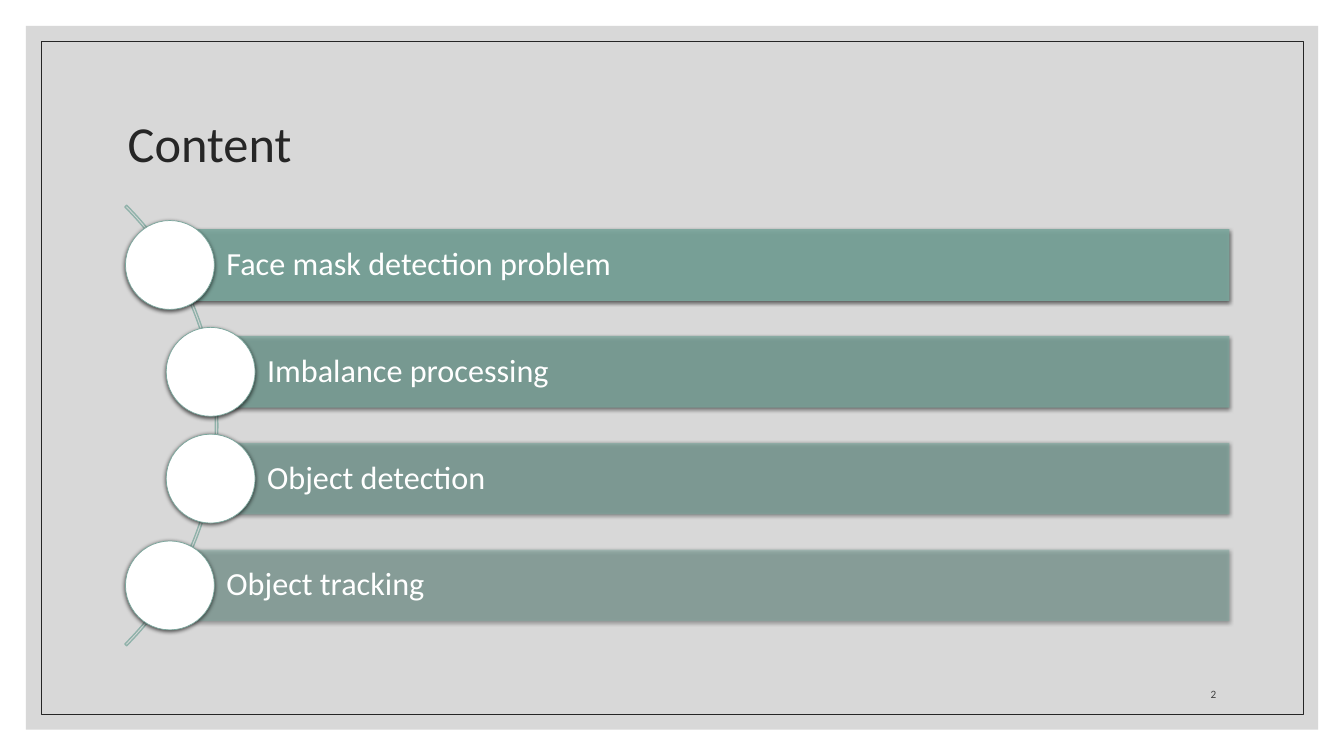
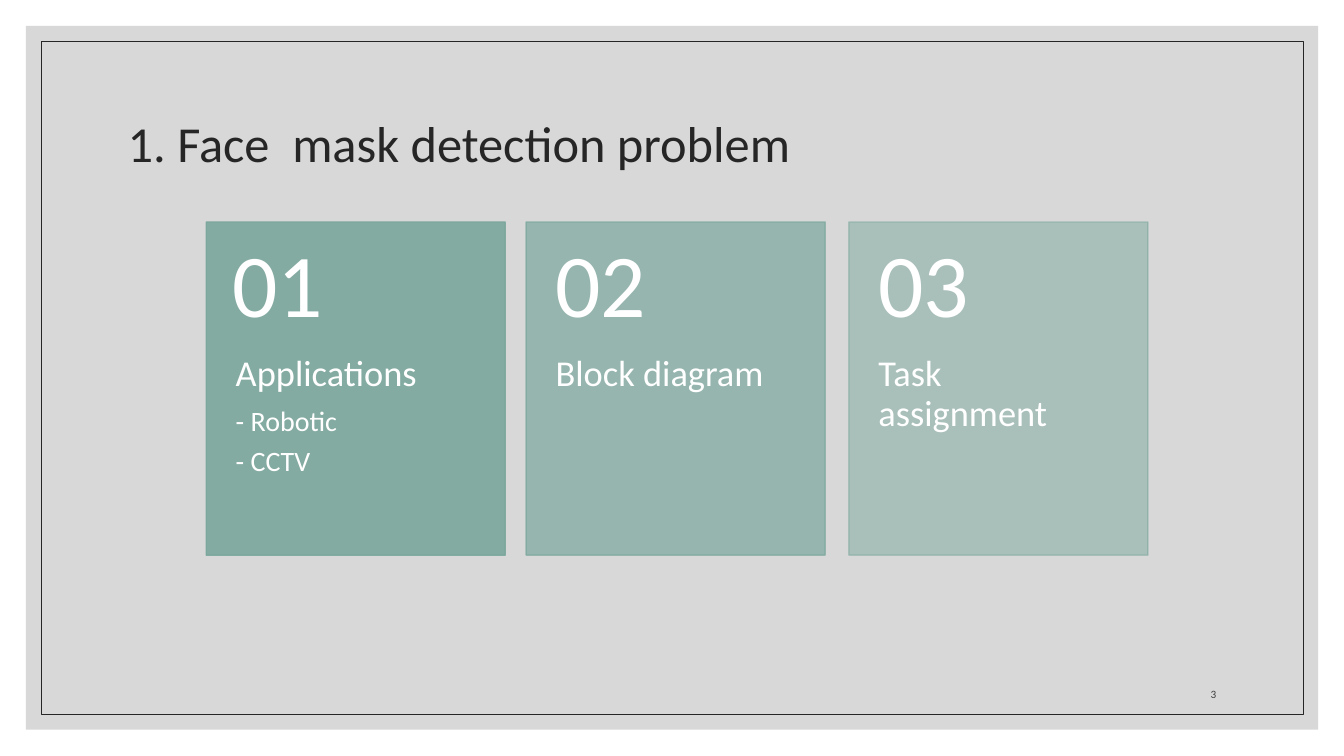
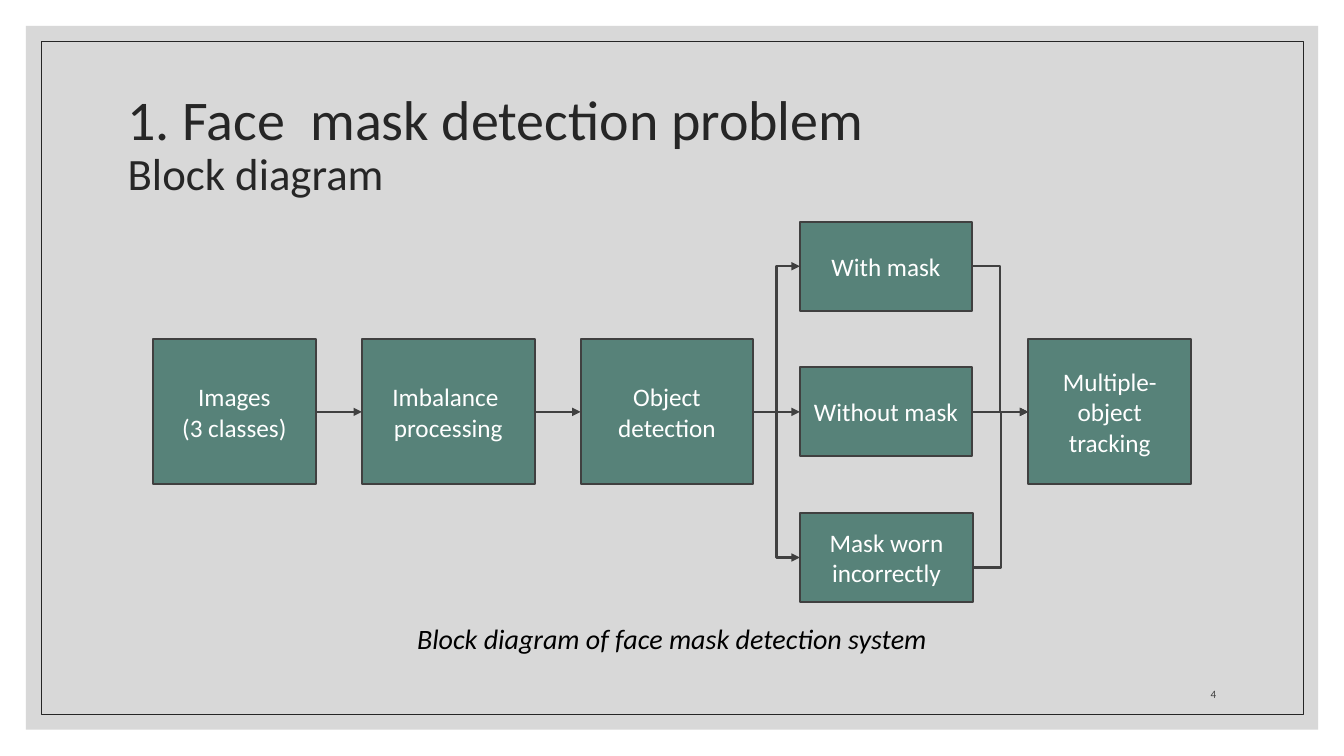
"""Build three slides on a face mask detection project: contents, topics and block diagram."""
from lxml import etree
from pptx import Presentation
from pptx.dml.color import RGBColor
from pptx.enum.shapes import MSO_CONNECTOR, MSO_SHAPE
from pptx.enum.text import MSO_ANCHOR, MSO_AUTO_SIZE, PP_ALIGN
from pptx.oxml.ns import qn
from pptx.util import Pt

RECTANGLE, OVAL, BLOCK_ARC = MSO_SHAPE.RECTANGLE, MSO_SHAPE.OVAL, MSO_SHAPE.BLOCK_ARC
STRAIGHT, ELBOW = MSO_CONNECTOR.STRAIGHT, MSO_CONNECTOR.ELBOW
LEFT, CENTER, RIGHT = PP_ALIGN.LEFT, PP_ALIGN.CENTER, PP_ALIGN.RIGHT
TOP, MIDDLE, BOTTOM = MSO_ANCHOR.TOP, MSO_ANCHOR.MIDDLE, MSO_ANCHOR.BOTTOM
NO_AUTOFIT = MSO_AUTO_SIZE.NONE
LEFT_SITE, RIGHT_SITE = 1, 3

FONT = "Calibri"
COLORS = {
    "band": "BFBFBF",
    "ink": "262626",
    "line": "404040",
    "sage": "7BA79D",
    "sage_end": "79A79C",
    "arc": "90B2AA",
    "block": "578279",
    "white": "FFFFFF",
    "black": "000000",
}


def write_text(box, lines, size=18, color="white", align=LEFT, anchor=MIDDLE,
               insets=(7.2, 3.6, 7.2, 3.6), spacing=1.0, after=0, italic=False):
    """Fill a box with paragraphs, each a string or a (string, size) pair."""
    frame = box.text_frame
    frame.word_wrap = True
    frame.auto_size = NO_AUTOFIT
    frame.vertical_anchor = anchor
    (frame.margin_left, frame.margin_top,
     frame.margin_right, frame.margin_bottom) = [Pt(inset) for inset in insets]
    for index, line in enumerate(lines):
        text, points = (line, size) if isinstance(line, str) else line
        para = frame.paragraphs[0] if index == 0 else frame.add_paragraph()
        para.alignment = align
        para.line_spacing = spacing
        para.space_before = Pt(0)
        para.space_after = Pt(points * after)
        span = para.add_run()
        span.text = text
        span.font.name = FONT
        span.font.size = Pt(points)
        span.font.italic = italic
        span.font.color.rgb = RGBColor.from_string(COLORS[color])


def add_box(page, kind, left, top, width, height, fill=None, fill_end=None, line=None,
            weight=1, alpha=100, shadow=False):
    """Add a preset shape with optional fill, outline, opacity and soft shadow."""
    box = page.shapes.add_shape(kind, Pt(left), Pt(top), Pt(width), Pt(height))
    box.shadow.inherit = False
    if fill_end:
        box.fill.gradient()
        box.fill.gradient_angle = 270
        for stop, name in zip(box.fill.gradient_stops, (fill, fill_end)):
            stop.color.rgb = RGBColor.from_string(COLORS[name])
    elif fill:
        box.fill.solid()
        box.fill.fore_color.rgb = RGBColor.from_string(COLORS[fill])
    else:
        box.fill.background()
    if line:
        box.line.color.rgb = RGBColor.from_string(COLORS[line])
        box.line.width = Pt(weight)
    else:
        box.line.fill.background()
    properties = box._element.spPr
    if alpha < 100:
        for color in properties.iter(qn("a:srgbClr")):
            etree.SubElement(color, qn("a:alpha"), val=str(alpha * 1000))
    if shadow:
        effect = etree.SubElement(properties.find(qn("a:effectLst")), qn("a:outerShdw"),
                                  blurRad=str(Pt(3)), dist=str(Pt(1)), dir="5400000",
                                  algn="ctr", rotWithShape="0")
        color = etree.SubElement(effect, qn("a:srgbClr"), val=COLORS["black"])
        etree.SubElement(color, qn("a:alpha"), val="63000")
    return box


deck = Presentation()
deck.slide_width, deck.slide_height = Pt(960), Pt(540)
layout = deck.slide_layouts[5]

titles = [
    [("Content", 36)],
    [("1. Face  mask detection problem", 36)],
    [("1. Face  mask detection problem", 40), ("Block diagram", 32)],
]
pages = []
for number, title_lines in enumerate(titles, start=2):
    page = deck.slides.add_slide(layout)
    title = page.shapes.title
    title.left, title.top, title.width, title.height = Pt(84), Pt(50.4), Pt(792), Pt(108)
    write_text(title, title_lines, color="ink", spacing=0.9)
    number_box = page.shapes.add_textbox(Pt(810), Pt(475.2), Pt(66), Pt(28.8))
    write_text(number_box, [str(number)], size=8, color="line", align=RIGHT, anchor=BOTTOM)
    pages.append(page)
contents, topics, diagram = pages

band = add_box(contents, RECTANGLE, 18.5, 18.5, 923, 502.6, fill="band", alpha=60)
border = add_box(contents, RECTANGLE, 29.5, 29.5, 901.5, 481, line="ink", weight=0.5)
for position, shape in enumerate([band, border], start=2):
    shape._element.nvSpPr.cNvPr.set("id", str(100 + position))
    layout.shapes._spTree.insert(position, shape._element)

arc = add_box(contents, BLOCK_ARC, -289.4, 81.4, 445, 445, line="arc")
for index, adjustment in enumerate([189, 27, 0.004]):
    arc.adjustments[index] = adjustment

bar_right, bar_height, bar_step, circle_size = 878.2, 51.2, 76.3, 63.5
items = [
    ("Face mask detection problem", 121.4, 90),
    ("Imbalance processing", 150.5, 77),
    ("Object detection", 150.5, 63),
    ("Object tracking", 121.4, 50),
]
for index, (text, left, alpha) in enumerate(items):
    middle = 189.3 + index * bar_step
    bar = add_box(contents, RECTANGLE, left, middle - bar_height / 2, bar_right - left,
                  bar_height, fill="sage", fill_end="sage_end", alpha=alpha, shadow=True)
    label = contents.shapes.add_textbox(bar.left, bar.top, bar.width, bar.height)
    write_text(label, [text], size=23, insets=(40.3, 4.5, 4.5, 4.5), spacing=0.9)
    add_box(contents, OVAL, left - circle_size / 2, middle - circle_size / 2, circle_size,
            circle_size, fill="white", line="sage", weight=0.5, shadow=True)

card_top, card_width, card_height, number_height = 158.6, 213.6, 238, 95.2
cards = [
    ("01", ["Applications", ("- Robotic", 20), ("- CCTV", 20)], 147.3, 145, 90),
    ("02", ["Block diagram"], 375.8, 375.8, 70),
    ("03", ["Task assignment"], 606.4, 606.4, 50),
]
for number, lines, left, number_left, alpha in cards:
    add_box(topics, RECTANGLE, left, card_top, card_width, card_height,
            fill="sage", line="sage", alpha=alpha)
    label = topics.shapes.add_textbox(Pt(left), Pt(card_top + number_height),
                                      Pt(card_width), Pt(card_height - number_height))
    write_text(label, lines, size=26, anchor=TOP, insets=(21.1, 0, 22, 26),
               spacing=0.9, after=0.35)
    number_box = topics.shapes.add_textbox(Pt(number_left), Pt(card_top),
                                           Pt(card_width), Pt(number_height))
    write_text(number_box, [number], size=64, insets=(21.1, 13, 21.1, 13), spacing=0.9)

axis, branch_step, stage_height, branch_height = 294.2, 104, 103.7, 63.5
block_data = [
    ("images", ["Images", "(3 classes)"], 109.1, axis, 116.6, stage_height),
    ("imbalance", ["Imbalance ", "processing"], 258.5, axis, 123.4, stage_height),
    ("detection", ["Object detection"], 414.7, axis, 123.4, stage_height),
    ("with", ["With mask"], 571.3, axis - branch_step, 123.2, branch_height),
    ("without", ["Without mask"], 571.3, axis, 123.2, branch_height),
    ("incorrect", ["Mask worn incorrectly"], 571.3, axis + branch_step, 123.8, branch_height),
    ("tracking", ["Multiple-object tracking"], 734.4, axis, 116.6, stage_height),
]
blocks = {}
for name, lines, left, middle, width, height in block_data:
    blocks[name] = add_box(diagram, RECTANGLE, left, middle - height / 2, width, height,
                           fill="block", line="line", weight=1.5)
    write_text(blocks[name], lines, align=CENTER)

arrows = [
    ("images", "imbalance", STRAIGHT, 0),
    ("imbalance", "detection", STRAIGHT, 0),
    ("detection", "with", ELBOW, 0),
    ("detection", "without", STRAIGHT, 0),
    ("detection", "incorrect", ELBOW, 0),
    ("with", "tracking", ELBOW, 0),
    ("without", "tracking", STRAIGHT, 0),
    ("incorrect", "tracking", ELBOW, 7.2),
]
for source, target, kind, drop in arrows:
    start, end = blocks[source], blocks[target]
    arrow = diagram.shapes.add_connector(
        kind, start.left + start.width, start.top + start.height // 2 + Pt(drop),
        end.left, end.top + end.height // 2)
    if not drop:
        arrow.begin_connect(start, RIGHT_SITE)
        arrow.end_connect(end, LEFT_SITE)
    arrow.line.color.rgb = RGBColor.from_string(COLORS["line"])
    arrow.line.width = Pt(1.5)
    etree.SubElement(arrow.line._get_or_add_ln(), qn("a:tailEnd"), type="triangle")
    etree.SubElement(arrow._element.spPr, qn("a:effectLst"))

caption = diagram.shapes.add_textbox(Pt(255), Pt(440.3), Pt(450), Pt(31.5))
write_text(caption, ["Block diagram of face mask detection system"], size=20,
           color="black", align=CENTER, anchor=TOP, italic=True)

deck.save("out.pptx")
